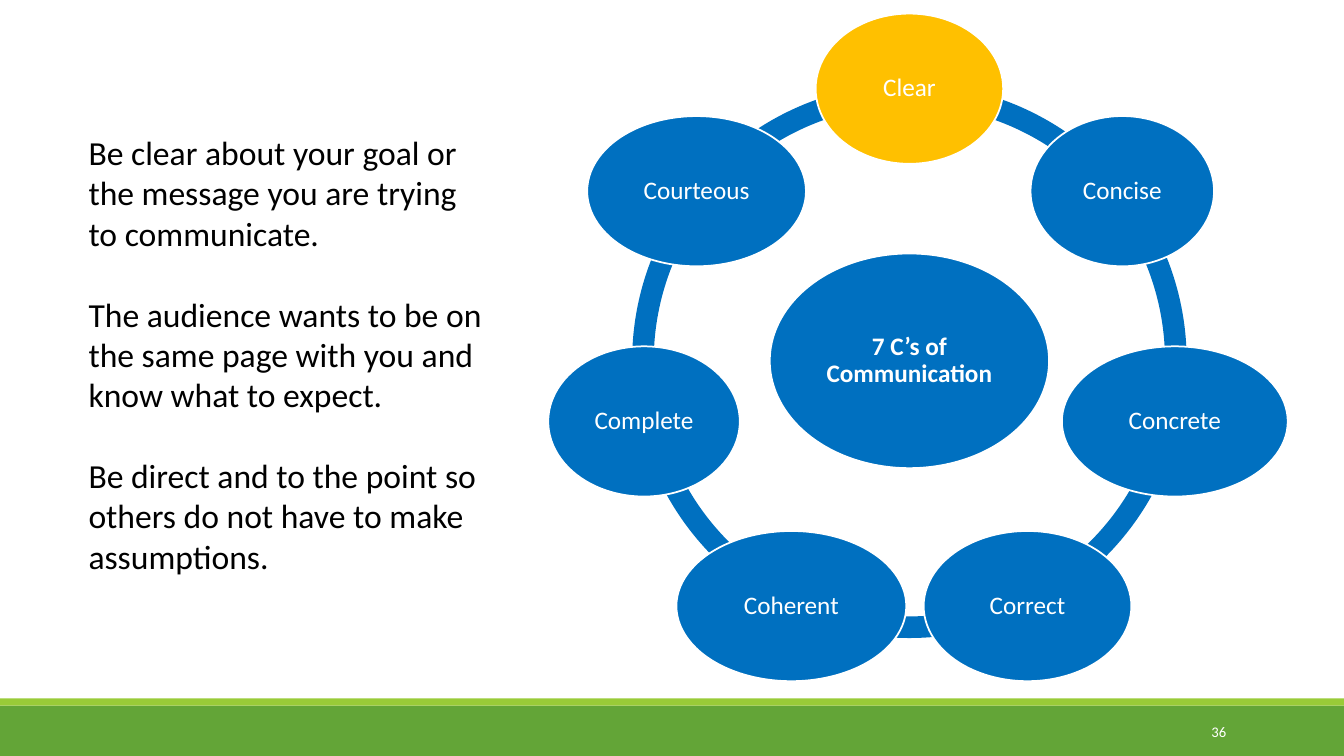
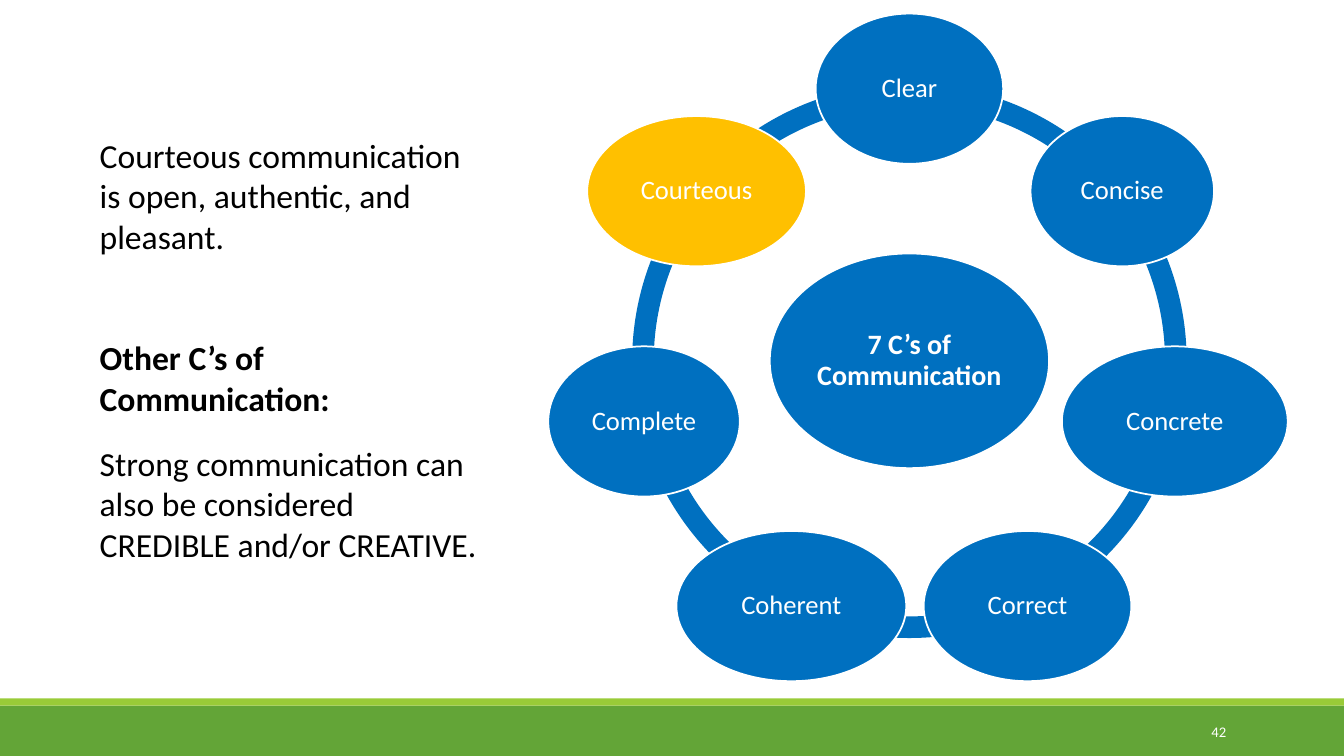
from math import cos, radians, sin

from pptx import Presentation
from pptx.dml.color import RGBColor
from pptx.enum.shapes import MSO_SHAPE
from pptx.enum.text import MSO_ANCHOR, PP_ALIGN
from pptx.util import Inches, Pt

COLORS = {
    "green": "63A537",
    "lime": "99CB38",
    "blue": "0070C0",
    "gold": "FFC000",
    "white": "FFFFFF",
    "black": "000000",
}
FONT = "Calibri"
SLIDE_WIDTH, SLIDE_HEIGHT = 13.33, 7.5
BLANK_LAYOUT = 6

WHEEL_BOX = (6.27, 0.83, 5.5, 5.5)
RING_THICKNESS = 0.039
HUB_SIZE = (2.77, 2.13)
NODE_HEIGHT = 1.49
NODE_ORBIT = 2.7
NODE_WIDTHS = {
    "Clear": 1.86,
    "Concise": 1.82,
    "Concrete": 2.24,
    "Correct": 2.06,
    "Coherent": 2.28,
    "Complete": 1.9,
    "Courteous": 2.17,
}

# Each paragraph is (text, bold, points of space before).
SLIDES = [
    {
        "number": "36",
        "active": "Clear",
        "hub_size": 18,
        "node_size": 18,
        "text_box": (0.78, 1.26, 4.16, 4.54),
        "paragraphs": [
            ("Be clear about your goal or the message you are trying to communicate.", False, 0),
            ("The audience wants to be on the same page with you and know what to expect.", False, 29),
            ("Be direct and to the point so others do not have to make assumptions.", False, 29),
        ],
    },
    {
        "number": "42",
        "active": "Courteous",
        "hub_size": 20,
        "node_size": 19,
        "text_box": (0.89, 1.29, 4.01, 5.2),
        "paragraphs": [
            ("Courteous communication is open, authentic, and pleasant.", False, 0),
            ("Other C’s of Communication:", True, 58),
            ("Strong communication can also be considered CREDIBLE and/or CREATIVE.", False, 18),
        ],
    },
]


def rgb(name):
    return RGBColor.from_string(COLORS[name])


def write_text(shape, paragraphs, size, color, align=PP_ALIGN.LEFT,
               anchor=MSO_ANCHOR.TOP, line_spacing=None, inset=None):
    """Fill a shape with (text, bold, space before) paragraphs."""
    frame = shape.text_frame
    frame.word_wrap = True
    frame.vertical_anchor = anchor
    if inset is not None:
        frame.margin_left = frame.margin_right = Inches(inset)
        frame.margin_top = frame.margin_bottom = Inches(inset)
    for index, (text, bold, space_before) in enumerate(paragraphs):
        paragraph = frame.add_paragraph() if index else frame.paragraphs[0]
        paragraph.text = text
        paragraph.alignment = align
        paragraph.line_spacing = line_spacing
        if space_before:
            paragraph.space_before = Pt(space_before)
        paragraph.font.name = FONT
        paragraph.font.size = Pt(size)
        paragraph.font.bold = bold
        paragraph.font.color.rgb = rgb(color)


def add_filled(shapes, preset, box, color, outline=None):
    shape = shapes.add_shape(preset, *map(Inches, box))
    shape.shadow.inherit = False
    shape.fill.solid()
    shape.fill.fore_color.rgb = rgb(color)
    if outline:
        shape.line.color.rgb = rgb(outline)
        shape.line.width = Pt(1.25)
    else:
        shape.line.fill.background()
    return shape


def add_text_box(slide, box, paragraphs, **text_format):
    shape = slide.shapes.add_textbox(*map(Inches, box))
    write_text(shape, paragraphs, **text_format)


def add_master_bands(presentation, slide):
    """Draw the footer bands on a slide, then move them to the slide master."""
    master_tree = presentation.slide_master.shapes._spTree
    bands = [((0, 7, SLIDE_WIDTH, 0.5), "green"),
             ((0, 6.93, SLIDE_WIDTH, 0.07), "lime")]
    for position, (box, color) in enumerate(bands, start=2):
        band = add_filled(slide.shapes, MSO_SHAPE.RECTANGLE, box, color)
        master_tree.insert(position, band._element)


def add_ellipse(shapes, center, size, text, color, font_size, bold=False):
    (center_x, center_y), (width, height) = center, size
    box = (center_x - width / 2, center_y - height / 2, width, height)
    ellipse = add_filled(shapes, MSO_SHAPE.OVAL, box, color, outline="white")
    write_text(ellipse, [(text, bold, 0)], font_size, "white", PP_ALIGN.CENTER,
               MSO_ANCHOR.MIDDLE, line_spacing=0.9, inset=0.03)


def add_wheel(slide, box, active, hub_size, node_size):
    """Draw the ring, its hub and evenly spaced nodes, clockwise from the top."""
    left, top, width, height = box
    center_x, center_y = left + width / 2, top + height / 2
    shapes = slide.shapes.add_group_shape().shapes
    ring = add_filled(shapes, MSO_SHAPE.DONUT, box, "blue")
    ring.adjustments[0] = RING_THICKNESS
    add_ellipse(shapes, (center_x, center_y), HUB_SIZE, "7 C’s of Communication",
                "blue", hub_size, bold=True)
    for index, (label, node_width) in enumerate(NODE_WIDTHS.items()):
        angle = radians(360 * index / len(NODE_WIDTHS) - 90)
        center = (center_x + NODE_ORBIT * cos(angle),
                  center_y + NODE_ORBIT * sin(angle))
        add_ellipse(shapes, center, (node_width, NODE_HEIGHT), label,
                    "gold" if label == active else "blue", node_size)


def fill_slide(slide, content):
    add_wheel(slide, WHEEL_BOX, content["active"], content["hub_size"],
              content["node_size"])
    add_text_box(slide, content["text_box"], content["paragraphs"],
                 size=24, color="black")
    add_text_box(slide, (10.83, 7.06, 1.43, 0.4), [(content["number"], False, 0)],
                 size=10.5, color="white", align=PP_ALIGN.RIGHT,
                 anchor=MSO_ANCHOR.MIDDLE)


def main():
    presentation = Presentation()
    presentation.slide_width = Inches(SLIDE_WIDTH)
    presentation.slide_height = Inches(SLIDE_HEIGHT)
    layout = presentation.slide_layouts[BLANK_LAYOUT]
    slides = [presentation.slides.add_slide(layout) for _ in SLIDES]
    add_master_bands(presentation, slides[0])
    for slide, content in zip(slides, SLIDES):
        fill_slide(slide, content)
    presentation.save("out.pptx")


if __name__ == "__main__":
    main()
